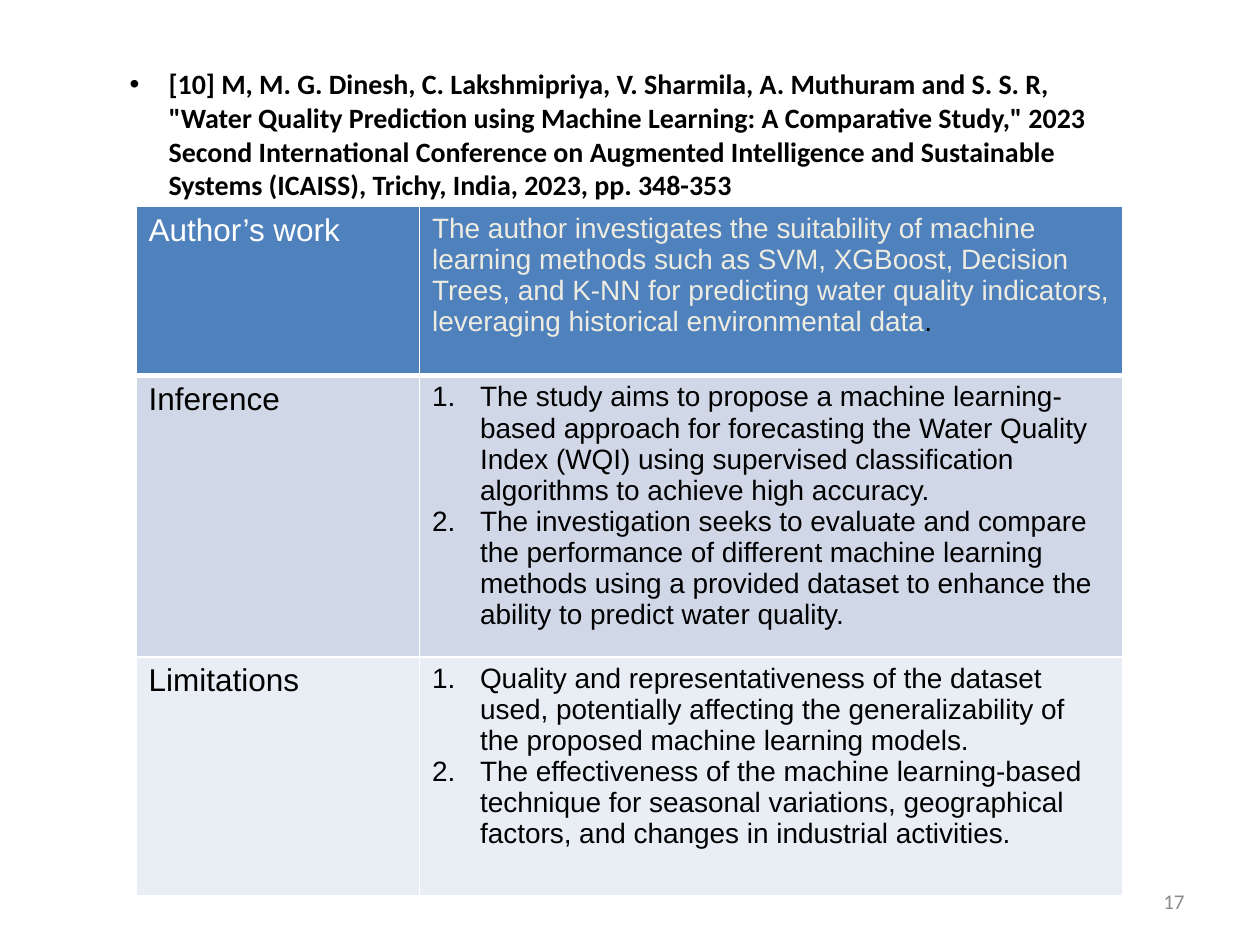
from pptx import Presentation
from pptx.dml.color import RGBColor
from pptx.enum.text import MSO_ANCHOR, PP_ALIGN
from pptx.oxml.ns import qn
from pptx.util import Inches, Pt
from lxml.etree import SubElement

COLORS = {"black": "000000", "white": "FFFFFF", "cream": "EEECE1", "gray": "8B8B8B",
          "header": "4F81BD", "band_dark": "D0D8E8", "band_light": "E9EDF4"}

REFERENCE = (
    "[10] M, M. G. Dinesh, C. Lakshmipriya, V. Sharmila, A. Muthuram and S. S. R, "
    "\"Water Quality Prediction using Machine Learning: A Comparative Study,\" 2023 "
    "Second International Conference on Augmented Intelligence and Sustainable "
    "Systems (ICAISS), Trichy, India, 2023, pp. 348-353")
PAGE_NUMBER = "17"

# Each row: label, label color, fill, height, numbered, paragraphs of (text, color) runs
ROWS = [
    ("Author’s work", "white", "header", 1.34, False, [
        [("The author investigates the suitability of machine learning methods such as SVM, "
          "XGBoost, Decision Trees, and K-NN for predicting water quality indicators, "
          "leveraging historical environmental data", "cream"), (".", "black")]]),
    ("Inference", "black", "band_dark", 2.07, True, [
        [("The study aims to propose a machine learning-based approach for forecasting the "
          "Water Quality Index (WQI) using supervised classification algorithms to achieve "
          "high accuracy.", "black")],
        [("The investigation seeks to evaluate and compare the performance of different "
          "machine learning methods using a provided dataset to enhance the ability to "
          "predict water quality.", "black")]]),
    ("Limitations", "black", "band_light", 1.9, True, [
        [("Quality and representativeness of the dataset used, potentially affecting the "
          "generalizability of the proposed machine learning models.", "black")],
        [("The effectiveness of the machine learning-based technique for seasonal variations, "
          "geographical factors, and changes in industrial activities.", "black")]]),
]
COLUMN_WIDTHS = [2.25, 5.58]


def rgb(name):
    return RGBColor.from_string(COLORS[name])


def add_run(paragraph, text, size, color, font="Arial", bold=False):
    run = paragraph.add_run()
    run.text = text
    run.font.size = Pt(size)
    run.font.name = font
    run.font.bold = bold
    run.font.color.rgb = rgb(color)


def add_bullet(paragraph, left, hanging, tag, **attributes):
    properties = paragraph._p.get_or_add_pPr()
    properties.set("marL", str(Inches(left)))
    properties.set("indent", str(-Inches(hanging)))
    SubElement(properties, qn("a:buFont"), typeface="Arial")
    SubElement(properties, qn(tag), **attributes)


def add_text_box(left, top, width, height):
    frame = slide.shapes.add_textbox(*map(Inches, (left, top, width, height))).text_frame
    frame.word_wrap = True
    frame.vertical_anchor = MSO_ANCHOR.MIDDLE
    return frame.paragraphs[0]


def style_cell(cell, fill, bottom_width):
    properties = cell._tc.get_or_add_tcPr()
    for side, width in (("L", 1), ("R", 1), ("T", 1), ("B", bottom_width)):
        line = SubElement(properties, qn(f"a:ln{side}"), w=str(Pt(width)))
        solid = SubElement(line, qn("a:solidFill"))
        SubElement(solid, qn("a:srgbClr"), val=COLORS["white"])
    cell.fill.solid()
    cell.fill.fore_color.rgb = rgb(fill)


presentation = Presentation()
presentation.slide_width, presentation.slide_height = Inches(10), Inches(7.5)
slide = presentation.slides.add_slide(presentation.slide_layouts[6])

# Page number
paragraph = add_text_box(7.17, 6.95, 2.33, 0.4)
paragraph.alignment = PP_ALIGN.RIGHT
add_run(paragraph, PAGE_NUMBER, 12, "gray", "Calibri")

# Reference
paragraph = add_text_box(0.92, 0.51, 8, 1.11)
add_bullet(paragraph, 0.32, 0.31, "a:buChar", char="•")
add_run(paragraph, REFERENCE, 16, "black", "Calibri", True)

# Review table
table = slide.shapes.add_table(
    len(ROWS), len(COLUMN_WIDTHS), Inches(1.08), Inches(1.64),
    Inches(sum(COLUMN_WIDTHS)), Inches(sum(row[3] for row in ROWS))).table
table.first_row = table.horz_banding = False
for column, width in zip(table.columns, COLUMN_WIDTHS):
    column.width = Inches(width)

for index, (label, label_color, fill, height, numbered, paragraphs) in enumerate(ROWS):
    table.rows[index].height = Inches(height)
    label_cell, detail_cell = table.cell(index, 0), table.cell(index, 1)
    for cell in (label_cell, detail_cell):
        style_cell(cell, fill, 3 if index == 0 else 1)
    add_run(label_cell.text_frame.paragraphs[0], label, 18, label_color)
    frame = detail_cell.text_frame
    for position, runs in enumerate(paragraphs):
        paragraph = frame.add_paragraph() if position else frame.paragraphs[0]
        if numbered:
            add_bullet(paragraph, 0.38, 0.38, "a:buAutoNum", type="arabicPeriod")
        for text, color in runs:
            add_run(paragraph, text, 16, color)

presentation.save("out.pptx")
